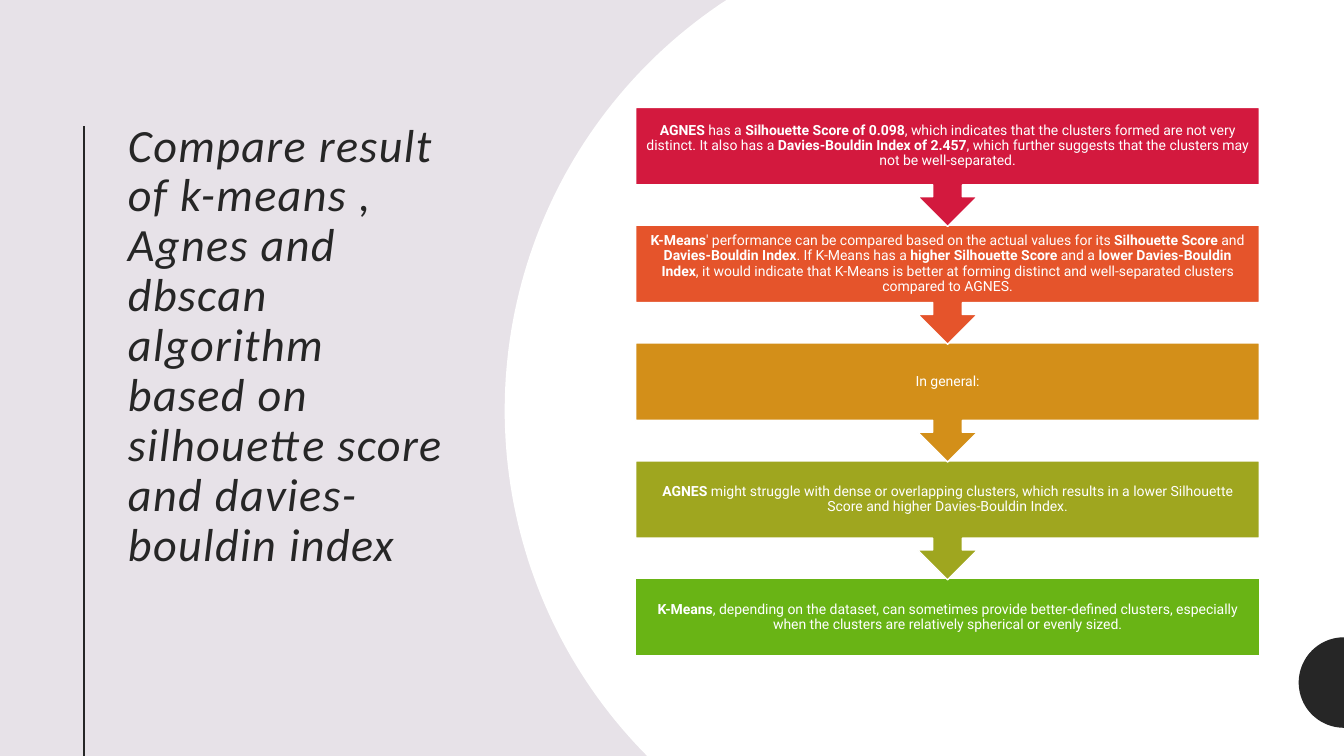
import math

from lxml import etree
from pptx import Presentation
from pptx import util as u
from pptx.dml.color import RGBColor
from pptx.enum import shapes, text
from pptx.oxml.ns import qn

COLOURS = {
    "backdrop": "E7E2E8", "ink": "262626", "white": "FFFFFF",
    "red": "D3193E", "orange": "E5542B", "amber": "D38F19",
    "olive": "9FA61F", "green": "69B415",
}
WIDTH, HEIGHT = 33.87, 19.05  # all lengths in centimetres

TITLE = ("Compare result of k-means , Agnes and dbscan algorithm "
         "based on silhouette score and davies-bouldin index")

# Each step: colour, then text pieces as (words, bold)
STEPS = [
    ("red", [
        ("AGNES", True), (" has a ", False),
        ("Silhouette Score of 0.098", True),
        (", which indicates that the clusters formed are not very distinct. "
         "It also has a ", False),
        ("Davies-Bouldin Index of 2.457", True),
        (", which further suggests that the clusters may not be "
         "well-separated.", False)]),
    ("orange", [
        ("K-Means", True),
        ("' performance can be compared based on the actual values for its ",
         False),
        ("Silhouette Score", True), (" and ", False),
        ("Davies-Bouldin Index", True), (". If K-Means has a ", False),
        ("higher Silhouette Score", True), (" and a ", False),
        ("lower Davies-Bouldin Index", True),
        (", it would indicate that K-Means is better at forming distinct and "
         "well-separated clusters compared to AGNES.", False)]),
    ("amber", [("In general:", False)]),
    ("olive", [
        ("AGNES", True),
        (" might struggle with dense or overlapping clusters, which results "
         "in a lower Silhouette Score and higher Davies-Bouldin Index.",
         False)]),
    ("green", [
        ("K-Means", True),
        (", depending on the dataset, can sometimes provide better-defined "
         "clusters, especially when the clusters are relatively spherical or "
         "evenly sized.", False)]),
]


def colour(name):
    return RGBColor.from_string(COLOURS[name])


def add_span(para, words, font, size, ink, bold=False, italic=False):
    span = para.add_run()
    span.text = words
    span.font.name, span.font.size = font, u.Pt(size)
    span.font.bold, span.font.italic = bold, italic
    span.font.color.rgb = colour(ink)
    return span


def add_disc(page, centre_x, centre_y, radius, fill):
    """Left part of a disc, cut by the slide and closed at its right edge."""
    top = max(0, centre_y - radius)
    bottom = min(HEIGHT, centre_y + radius)
    first, last = [math.asin(max(-1, min(1, (y - centre_y) / radius)))
                   for y in (top, bottom)]
    count = 90
    angles = [first + (last - first) * i / count for i in range(count + 1)]
    points = [(centre_x - radius * math.cos(a), centre_y + radius * math.sin(a))
              for a in angles]
    points += [(WIDTH, bottom), (WIDTH, top)]
    points = [(u.Cm(x), u.Cm(y)) for x, y in points]
    builder = page.shapes.build_freeform(*points[0])
    builder.add_line_segments(points[1:], close=True)
    disc = builder.convert_to_shape()
    disc.shadow.inherit = False
    disc.fill.solid()
    disc.fill.fore_color.rgb = colour(fill)
    disc.line.fill.background()


def add_title(page, left, top, width, height):
    # Heading
    box = page.shapes.title
    box.left, box.top, box.width, box.height = map(
        u.Cm, (left, top, width, height))
    frame = box.text_frame
    frame.word_wrap = True
    frame.auto_size = text.MSO_AUTO_SIZE.NONE
    frame.vertical_anchor = text.MSO_ANCHOR.TOP
    para = frame.paragraphs[0]
    para.alignment = text.PP_ALIGN.LEFT
    para.line_spacing = 0.9
    span = add_span(para, TITLE, "Calibri", 33, "ink", italic=True)
    span.font._element.set("spc", "100")

    # Rule down to the foot of the slide
    rule_x = u.Cm(left - 0.86)
    rule = page.shapes.add_connector(
        shapes.MSO_CONNECTOR.STRAIGHT,
        rule_x, u.Cm(top + 0.23), rule_x, u.Cm(HEIGHT))
    rule.line.color.rgb = colour("ink")
    rule.line.width = u.Pt(1.5)
    etree.SubElement(rule._element.spPr, qn("a:effectLst"))


def add_step(page, kind, left, top, width, height, fill, pieces):
    box = page.shapes.add_shape(kind, *map(u.Cm, (left, top, width, height)))
    box.shadow.inherit = False
    box.fill.solid()
    box.fill.fore_color.rgb = colour(fill)
    box.line.color.rgb = colour("white")
    box.line.width = u.Pt(1)
    frame = box.text_frame
    frame.word_wrap = True
    frame.vertical_anchor = text.MSO_ANCHOR.MIDDLE
    frame.margin_left = frame.margin_right = u.Cm(0.2)
    frame.margin_top = frame.margin_bottom = u.Cm(0.2)
    para = frame.paragraphs[0]
    para.alignment = text.PP_ALIGN.CENTER
    para.line_spacing = 0.9
    for words, bold in pieces:
        add_span(para, words, "Roboto", 10, "white", bold)


def add_flow(page, left, top, width, height):
    """Stack of callouts ending in a plain box, drawn from the bottom up."""
    last = len(STEPS) - 1
    box_height = 1.95
    pitch = (height - box_height) / last
    for i in range(last, -1, -1):
        if i == last:
            kind, tall = shapes.MSO_SHAPE.RECTANGLE, box_height
        else:
            kind, tall = shapes.MSO_SHAPE.DOWN_ARROW_CALLOUT, pitch + 0.03
        add_step(page, kind, left, top + i * pitch, width, tall, *STEPS[i])


def main():
    deck = Presentation()
    deck.slide_width, deck.slide_height = u.Cm(WIDTH), u.Cm(HEIGHT)
    page = deck.slides.add_slide(deck.slide_layouts[5])
    page.background.fill.solid()
    page.background.fill.fore_color.rgb = colour("backdrop")

    add_title(page, 2.97, 2.95, 8.66, 13.36)
    add_disc(page, 25.08, 10.34, 12.36, "white")
    add_disc(page, WIDTH, 17.2, 1.14, "ink")
    add_flow(page, 16.02, 2.71, 15.72, 13.82)
    deck.save("out.pptx")


if __name__ == "__main__":
    main()
